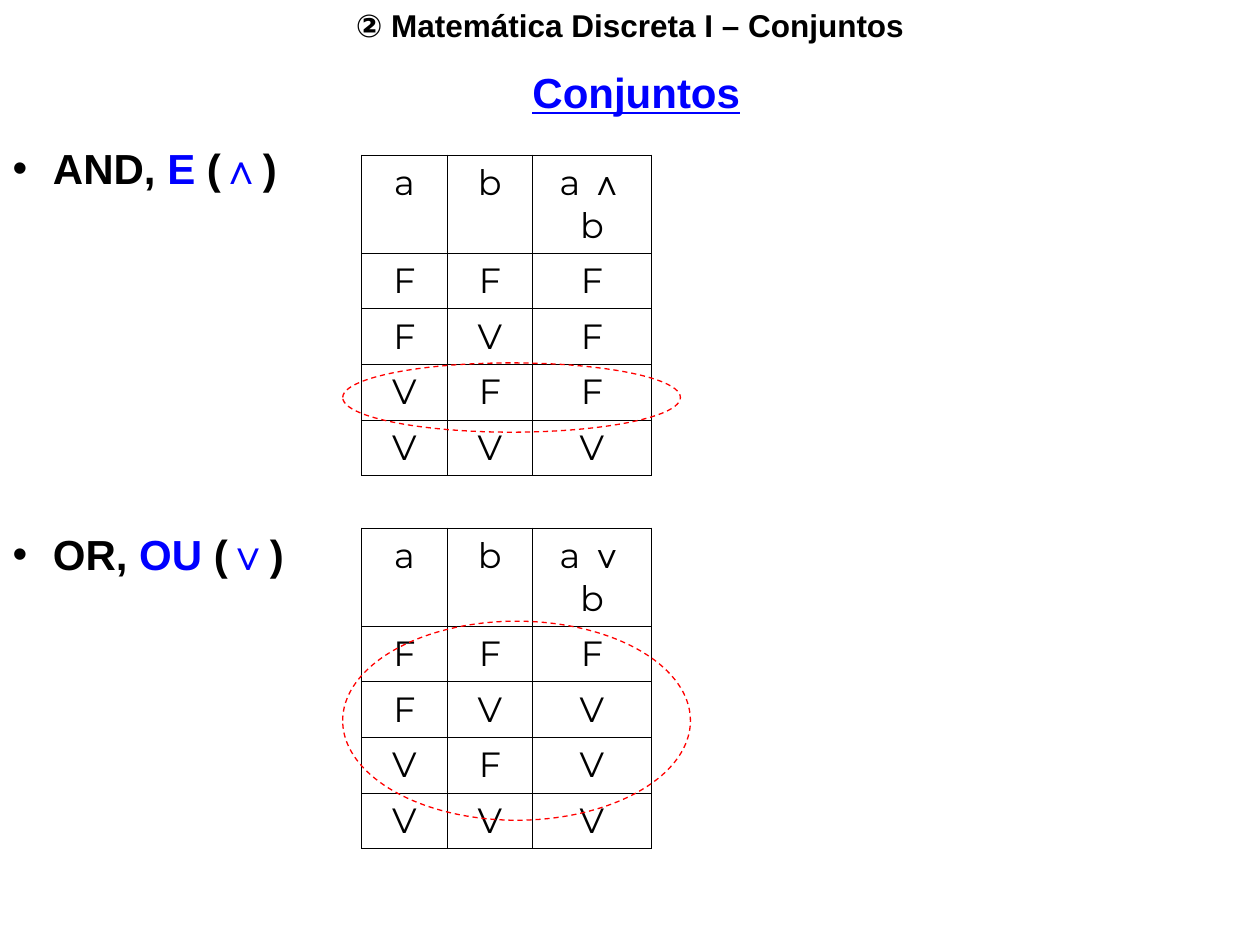
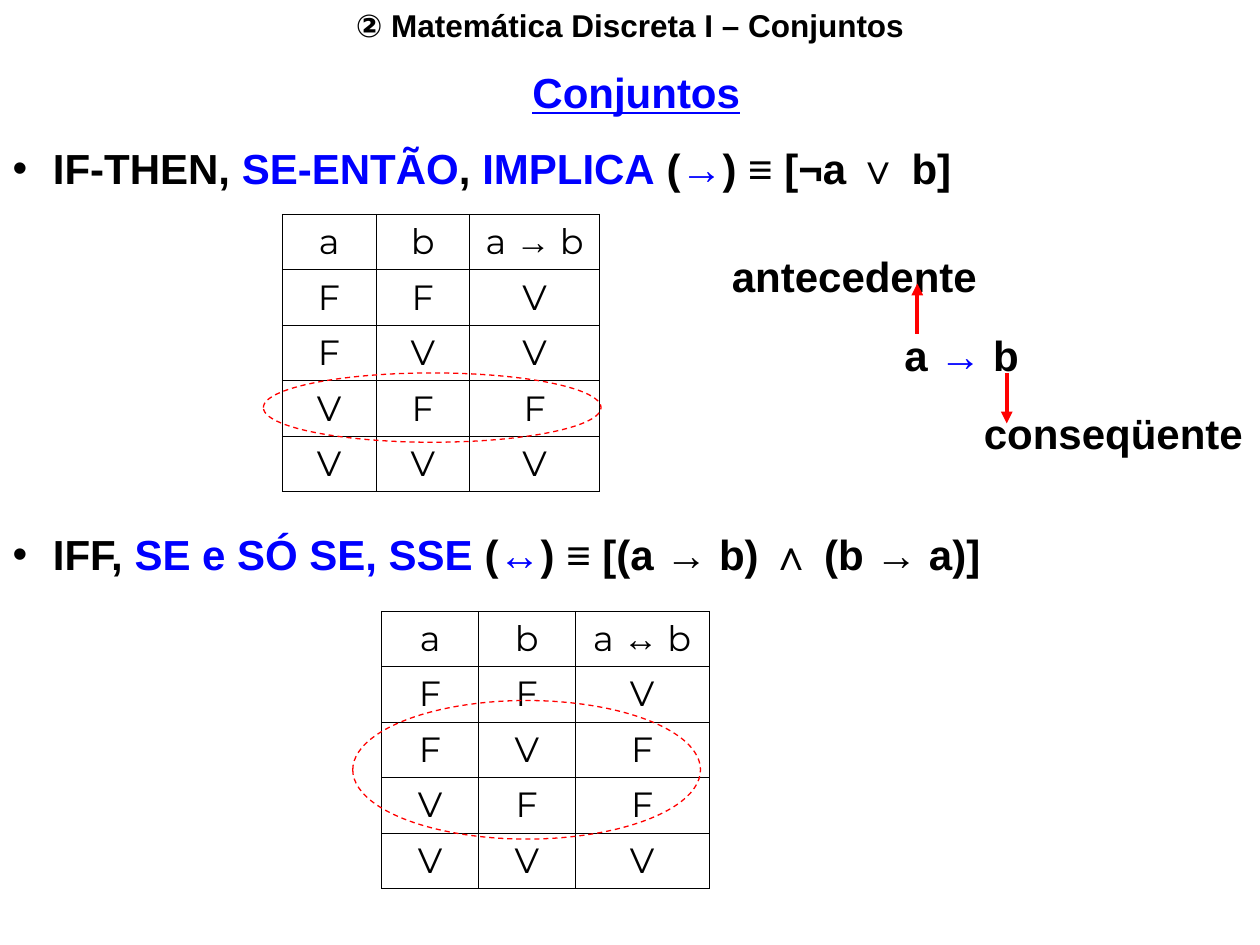
import itertools

import pptx
import pptx.dml.color
import pptx.enum.dml
import pptx.enum.shapes
import pptx.enum.text
import pptx.oxml
import pptx.oxml.ns
import pptx.util

Inches = pptx.util.Inches
Pt = pptx.util.Pt
CENTER = pptx.enum.text.PP_ALIGN.CENTER
LEFT = pptx.enum.text.PP_ALIGN.LEFT

BLACK, BLUE, RED = "000000", "0000FF", "FF0000"
TEXT_FONT, TABLE_FONT = "Arial", "Montserrat"


def rgb(color):
    return pptx.dml.color.RGBColor.from_string(color)


def write(paragraph, text, size=24, font=TEXT_FONT, color=BLACK, bold=True, underline=False):
    """Append one formatted run to the paragraph."""
    run = paragraph.add_run()
    run.text = text
    run.font.size = Pt(size)
    run.font.name = font
    run.font.color.rgb = rgb(color)
    run.font.bold = bold
    run.font.underline = underline


def write_alternating(paragraph, parts):
    """Write the parts in black and blue by turns."""
    for part, color in zip(parts, itertools.cycle((BLACK, BLUE))):
        write(paragraph, part, color=color)


def indent(paragraph, margin, first_line=0):
    properties = paragraph._p.get_or_add_pPr()
    properties.set("marL", str(Inches(margin)))
    properties.set("indent", str(Inches(first_line)))


def xml(markup):
    return pptx.oxml.parse_xml(markup.replace(">", f" {pptx.oxml.ns.nsdecls('a')}>", 1)
                               if not markup.endswith("/>") or markup.count("<") > 1
                               else markup.replace("/>", f" {pptx.oxml.ns.nsdecls('a')}/>"))


def add_borders(cell):
    properties = cell._tc.get_or_add_tcPr()
    for position, side in enumerate("LRTB"):
        border = xml(f'<a:ln{side} w="{Pt(0.45)}"><a:solidFill><a:srgbClr val="{BLACK}"/>'
                     f'</a:solidFill></a:ln{side}>')
        properties.insert(position, border)


class LogicDeck:
    def __init__(self):
        self.presentation = pptx.Presentation()
        self.presentation.slide_width = Inches(10)
        self.presentation.slide_height = Inches(7.5)
        self.slide = None

    def add_slide(self):
        layout = self.presentation.slide_layouts[1]
        self.slide = self.presentation.slides.add_slide(layout)
        header = self.text_box(0, 0, 10, 0.4).paragraphs[0]
        header.alignment = CENTER
        write(header, "② Matemática Discreta I – Conjuntos", size=18)
        title = self.frame(self.slide.shapes.title, 0.05, 0.48, 10, 0.5).paragraphs[0]
        title.alignment = CENTER
        write(title, "Conjuntos", color=BLUE, underline=True)

    def frame(self, shape, left, top, width, height):
        """Place a text shape and return its text frame, set to the common style."""
        shape.left, shape.top = Inches(left), Inches(top)
        shape.width, shape.height = Inches(width), Inches(height)
        frame = shape.text_frame
        frame.word_wrap = True
        frame.auto_size = pptx.enum.text.MSO_AUTO_SIZE.NONE
        frame.vertical_anchor = pptx.enum.text.MSO_ANCHOR.TOP
        return frame

    def text_box(self, left, top, width, height):
        box = self.slide.shapes.add_textbox(0, 0, 0, 0)
        return self.frame(box, left, top, width, height)

    def connectives(self, upper, lower):
        """Fill the body with two bullets, each above or beside its truth table."""
        body = self.frame(self.slide.placeholders[1], 0, 1.08, 10, 3.55)
        for paragraph, parts, gap in ((body.paragraphs[0], upper, 0),
                                      (body.add_paragraph(), lower, 192)):
            indent(paragraph, 0.32, -0.32)
            paragraph.space_before = Pt(gap)
            write_alternating(paragraph, parts)

    def truth_table(self, left, top, width, operator, results):
        table = self.slide.shapes.add_table(
            5, 3, Inches(left), Inches(top), Inches(width), Inches(2.17)).table
        table.first_row = table.horz_banding = False
        for column, share in zip(table.columns, (0.295, 0.295, 0.41)):
            column.width = Inches(width * share)
        values = [(a, b, result) for (a, b), result
                  in zip(itertools.product("FV", repeat=2), results)]
        heading = ("a", "b", ("a ", operator, " b"))
        for row, texts in zip(table.rows, [heading, *values]):
            for cell, parts in zip(row.cells, texts):
                cell.fill.background()
                add_borders(cell)
                paragraph = cell.text_frame.paragraphs[0]
                paragraph.alignment = CENTER
                for part, font in zip(parts, itertools.cycle((TABLE_FONT, TEXT_FONT))):
                    write(paragraph, part, size=20, font=font, bold=False)

    def highlight(self, left, top, width, height):
        ellipse = self.slide.shapes.add_shape(
            pptx.enum.shapes.MSO_SHAPE.OVAL,
            Inches(left), Inches(top), Inches(width), Inches(height))
        ellipse.shadow.inherit = False
        ellipse.fill.background()
        ellipse.line.color.rgb = rgb(RED)
        ellipse.line.width = Pt(0.75)
        ellipse.line.dash_style = pptx.enum.dml.MSO_LINE.DASH

    def vertical_arrow(self, x, start, end):
        arrow = self.slide.shapes.add_connector(
            pptx.enum.shapes.MSO_CONNECTOR.STRAIGHT,
            Inches(x), Inches(start), Inches(x), Inches(end))
        arrow.line.color.rgb = rgb(RED)
        arrow.line.width = Pt(2.25)
        arrow.line._get_or_add_ln().append(xml('<a:tailEnd type="triangle"/>'))
        arrow._element.spPr.append(xml("<a:effectLst/>"))

    def implication_parts(self):
        """Name the two sides of the implication, with an arrow to each name."""
        frame = self.text_box(5.71, 1.94, 4.29, 1.72)
        lines = ((0, ["antecedente"]), (1.37, ["a ", "→", " b"]), (2, ["conseqüente"]))
        for number, (margin, parts) in enumerate(lines):
            paragraph = frame.add_paragraph() if number else frame.paragraphs[0]
            paragraph.alignment = LEFT
            paragraph.space_before = Pt(16 if number else 0)
            indent(paragraph, margin)
            write_alternating(paragraph, parts)
        self.vertical_arrow(7.28, 2.65, 2.25)
        self.vertical_arrow(7.99, 2.96, 3.36)


def main():
    deck = LogicDeck()

    deck.add_slide()
    deck.connectives(["AND, ", "E", " (", "∧", ")"],
                     ["OR, ", "OU", " (", "∨", ")"])
    deck.truth_table(2.87, 1.23, 2.3, "∧", "FFFV")
    deck.truth_table(2.87, 4.19, 2.3, "∨", "FVVV")
    deck.highlight(2.72, 2.88, 2.68, 0.55)
    deck.highlight(2.72, 4.93, 2.76, 1.58)

    deck.add_slide()
    deck.connectives(
        ["IF-THEN, ", "SE-ENTÃO", ", ", "IMPLICA", " (", "→", ") ≡ [¬a ∨ b]"],
        ["IFF, ", "SE e SÓ SE, SSE", " (", "↔", ") ≡ [(a → b) ∧ (b → a)]"])
    deck.truth_table(2.24, 1.7, 2.52, "→", "VVFV")
    deck.truth_table(3.03, 4.85, 2.6, "↔", "VFFV")
    deck.highlight(2.09, 2.96, 2.68, 0.55)
    deck.highlight(2.8, 5.56, 2.76, 1.1)
    deck.implication_parts()

    deck.presentation.save("out.pptx")


if __name__ == "__main__":
    main()
